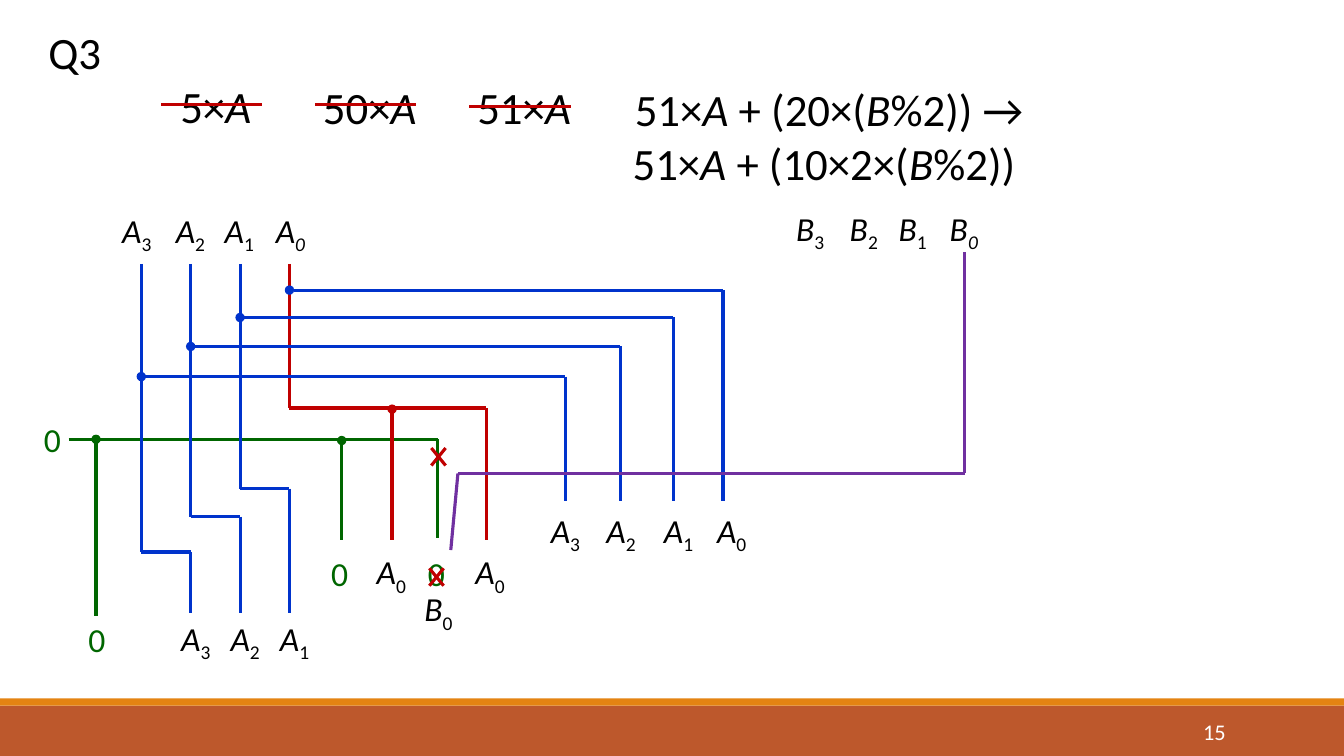
from lxml import etree
from pptx import Presentation
from pptx.dml.color import RGBColor
from pptx.enum.shapes import MSO_CONNECTOR, MSO_SHAPE
from pptx.enum.text import MSO_ANCHOR, PP_ALIGN
from pptx.oxml.ns import qn
from pptx.util import Cm, Pt

LINE = MSO_CONNECTOR.STRAIGHT
RECT = MSO_SHAPE.RECTANGLE
MIDDLE = MSO_ANCHOR.MIDDLE
LEFT, CENTER, RIGHT = PP_ALIGN.LEFT, PP_ALIGN.CENTER, PP_ALIGN.RIGHT
BLACK, WHITE = "000000", "FFFFFF"
GREEN, RED, BLUE, PURPLE = "006600", "C00000", "0033CC", "7030A0"
RUST, ORANGE = "BD582C", "E48312"
PITCH = 1.245


def paint(color):
    """Turn a hex string into a colour."""
    return RGBColor.from_string(color)


def write(slide, box, words, size, color=BLACK, align=CENTER):
    """Add a text box; stars toggle italics and the return value is its frame."""
    frame = slide.shapes.add_textbox(*map(Cm, box)).text_frame
    frame.word_wrap = True
    para = frame.paragraphs[0]
    para.alignment = align
    for turn, part in enumerate(words.split("*")):
        if part:
            run = para.add_run()
            run.text = part
            font = run.font
            font.name, font.size = "Calibri", Pt(size)
            font.italic = turn % 2 == 1
            font.color.rgb = paint(color)
    return frame


def label(slide, mid, top, words, color=BLACK):
    """Centre a signal name on mid, lowering its second run."""
    frame = write(slide, (mid - 0.85, top, 1.7, 1.27), words, 24, color)
    for run in frame.paragraphs[0].runs[1:]:
        run.font._element.set("baseline", "-25000")


def route(slide, left, top, color, points, dot=False):
    """Join the points with straight wires, with a dot at the start if asked."""
    for step, (start, end) in enumerate(zip(points, points[1:])):
        ends = [Cm(left + start[0]), Cm(top + start[1]),
                Cm(left + end[0]), Cm(top + end[1])]
        wire = slide.shapes.add_connector(LINE, *ends)
        wire.line.color.rgb = paint(color)
        wire.line.width = Pt(2.25)
        etree.SubElement(wire._element.spPr, qn("a:effectLst"))
        if dot and step == 0:
            tip = etree.SubElement(wire.line._ln, qn("a:headEnd"))
            tip.set("type", "oval")


def footer(slide, left, top, width):
    """Draw the two bars and the page number."""
    for drop, height, color in ((0.18, 1.27, RUST), (0, 0.18, ORANGE)):
        bar = slide.shapes.add_shape(
            RECT, Cm(left), Cm(top + drop), Cm(width), Cm(height))
        bar.shadow.inherit = False
        bar.fill.solid()
        bar.fill.fore_color.rgb = paint(color)
        bar.line.fill.background()
    box = (left + 27.51, top + 0.33, 3.63, 1.02)
    write(slide, box, "15", 16, WHITE, RIGHT).vertical_anchor = MIDDLE


def header(slide, left, top):
    """Write the question and its formulas, striking out the first three."""
    title = write(slide, (left, top, 2.51, 1.6), "Q3", 32, align=LEFT)
    title.paragraphs[0].line_spacing = 0.9
    olds = (("5×*A*", 2.59, 1.19, 1.98), ("50×*A*", 6.47, 1.22, 1.98),
            ("51×*A*", 10.36, 1.22, 2.03))
    for words, x, y, strike in olds:
        write(slide, (left + x, top + y, 3.76, 1.63), words, 32)
        route(slide, left, top, RED,
              [(x + 0.5, strike), (x + 3.05, strike)])
    write(slide, (left + 14.4, top + 1.27, 11.05, 3),
          "51×*A *+ (20×(*B*%2)) → 51×*A *+ (10×2×(*B*%2)) ", 32)


def heads(slide, left, top, name):
    """Write the four input bits, highest first."""
    for bit, x in zip("3210", (0, 1.35, 2.58, 3.87)):
        tail = "0*" if bit == "0" else "*" + bit
        label(slide, left + x, top, f"*{name}{tail}" if bit != "0" else f"*{name}**{tail}")


def low(slide, left, top):
    """Wire the constant zero and the lowest bit to the middle outputs."""
    label(slide, left - 2.24, top + 3.78, "0", GREEN)
    route(slide, left, top, GREEN, [(-1.83, 4.42), (7.47, 4.42), (7.47, 6.91)])
    route(slide, left, top, GREEN, [(5.05, 4.45), (5.05, 6.96)], True)
    route(slide, left, top, RED,
          [(3.73, 0), (3.73, 3.63), (8.69, 3.63), (8.69, 6.96)])
    route(slide, left, top, RED, [(6.32, 3.66), (6.32, 6.96)], True)
    for x in (6.3, 8.79):
        label(slide, left + x, top + 7.11, "*A*0")
    for x in (5, 7.44):
        label(slide, left + x, top + 7.17, "0", GREEN)


def shift(slide, left, top):
    """Wire the upper bits one place right, with a zero in front."""
    route(slide, left, top, GREEN, [(-1.14, 4.42), (-1.14, 8.86)], True)
    label(slide, left - 1.12, top + 8.81, "0", GREEN)
    for spot, (bit, bend) in enumerate(zip("321", (7.26, 6.37, 5.66))):
        x = PITCH * spot
        end = x + PITCH
        route(slide, left, top, BLUE, [(x, 0), (x, bend), (end, bend), (end, 8.79)])
        label(slide, left + end + 0.13, top + 8.79, f"*A*{bit}")


def fan(slide, left, top):
    """Branch all four bits to the right-hand outputs."""
    rows = ((2.84, 10.69, 10.69), (2.08, 12.07, 12.09),
            (1.35, 13.41, 13.54), (0.66, 14.66, 14.88))
    for spot, (y, end, mid) in enumerate(rows):
        route(slide, left, top, BLUE,
              [(PITCH * spot, y), (end, y), (end, 5.97)], True)
        name = "*A*" + str(3 - spot) if spot < 3 else "*A**" + "*0*"
        label(slide, left + mid, top + 6.07, name)


def swap(slide, left, top):
    """Cross out a zero and wire the lowest B bit in its place."""
    for x, y in ((7.49, 4.86), (7.44, 7.89)):
        for rise in (-0.22, 0.22):
            route(slide, left, top, RED,
                  [(x + 0.18, y + rise), (x - 0.18, y - rise)])
    route(slide, left, top, PURPLE,
          [(20.75, -0.3), (20.75, 5.28), (11.53, 5.28), (7.98, 5.28), (7.8, 7.21)])
    label(slide, left + 7.49, top + 8.05, "*B***0*")


def main():
    """Build the slide and save it."""
    deck = Presentation()
    deck.slide_width, deck.slide_height = Cm(33.87), Cm(19.05)
    slide = deck.slides.add_slide(deck.slide_layouts[6])
    footer(slide, 0, 17.6, 33.87)
    header(slide, 0.97, 0.66)
    heads(slide, 3.45, 5.16, "A")
    heads(slide, 20.42, 5.11, "B")
    for part in (low, shift, fan, swap):
        part(slide, 3.56, 6.65)
    deck.save("out.pptx")


if __name__ == "__main__":
    main()
